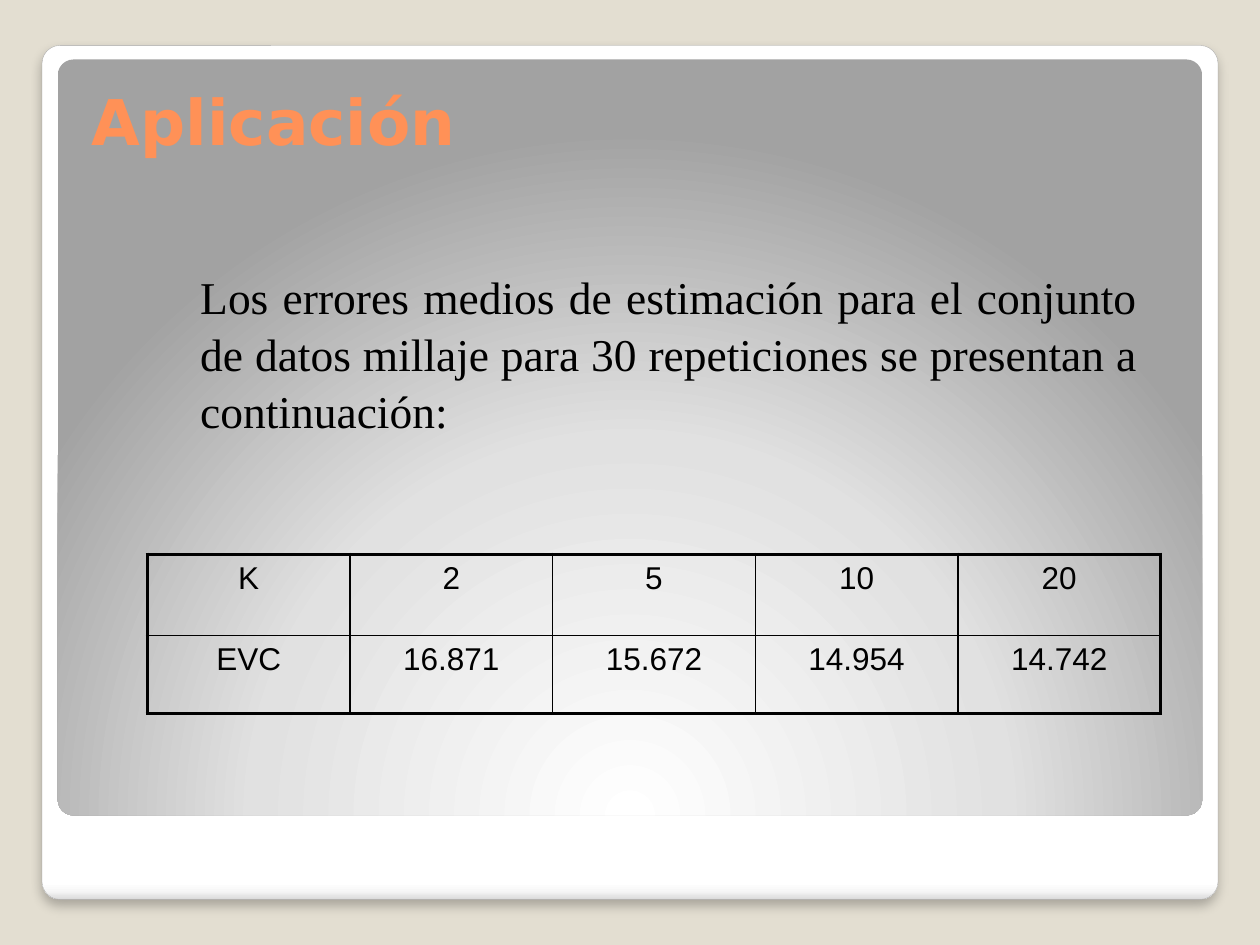
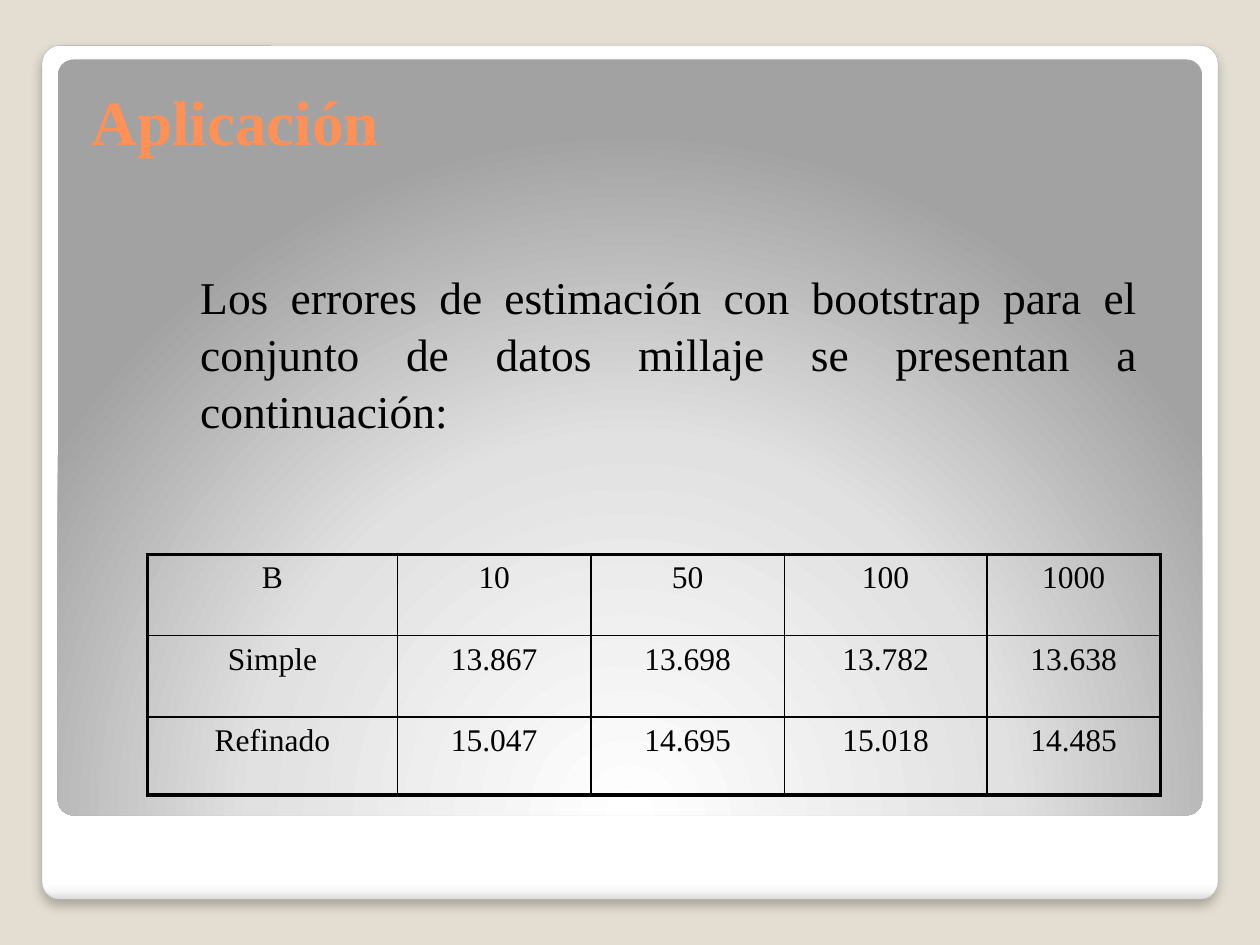
from pptx import Presentation
from pptx.dml.color import RGBColor
from pptx.enum.shapes import MSO_SHAPE as Shape
from pptx.enum.text import MSO_ANCHOR as Anchor, MSO_AUTO_SIZE as AutoSize, PP_ALIGN as Align
from pptx.oxml import parse_xml
from pptx.oxml.ns import nsdecls, qn
from pptx.util import Pt

SAND = RGBColor(0xE3, 0xDE, 0xD1)
ORANGE = RGBColor(0xFF, 0x91, 0x57)
BLACK = RGBColor(0x00, 0x00, 0x00)
WHITE = RGBColor(0xFF, 0xFF, 0xFF)
EDGE_GRAY = RGBColor(0xA4, 0xA4, 0xA4)
CARD_STOPS = [(0, WHITE), (98, WHITE), (99, RGBColor(0xF7, 0xF7, 0xF7)),
              (100, RGBColor(0xDA, 0xDA, 0xDA))]
PANEL_STOPS = [(0, WHITE), (55, RGBColor(0xE1, 0xE1, 0xE1)),
               (100, RGBColor(0xA2, 0xA2, 0xA2))]
DOWNWARD = '<a:lin ang="5400000" scaled="0"/>'
FROM_BOTTOM = ('<a:path path="circle"><a:fillToRect l="50000" t="175000" '
               'r="50000" b="-75000"/></a:path>')

SERIF, SANS, DISPLAY = "Times New Roman", "Arial", "DejaVu Sans"
THIN, THICK = 1, 2.25
ROW_HEIGHT, LAST_ROW_HEIGHT = 46.5, 44.5
TITLE_FRAME = {"margin_left": 0, "margin_right": 0, "margin_top": 0, "margin_bottom": 0,
               "vertical_anchor": Anchor.BOTTOM}
BODY_FRAME = {"margin_left": Pt(14.4), "margin_right": Pt(7.2), "margin_top": Pt(7.2),
              "margin_bottom": Pt(3.6), "vertical_anchor": Anchor.TOP}
BODY_PARA = {"alignment": Align.JUSTIFY, "space_before": Pt(2.5), "line_spacing": 1.04}


def apply(target, values):
    for name, value in values.items():
        setattr(target, name, value)


class Deck:
    def __init__(self):
        self.deck = Presentation()
        apply(self.deck, {"slide_width": Pt(720), "slide_height": Pt(540)})
        self.master = self.deck.slide_master
        background = self.master.background.fill
        background.solid()
        background.fore_color.rgb = SAND
        self.page = None

    def add_page(self):
        self.page = self.deck.slides.add_slide(self.deck.slide_layouts[1])

    def master_panel(self, order, bounds, stops, direction):
        """Draw a rounded gradient panel and move it behind everything, onto the master."""
        panel = self.page.shapes.add_shape(Shape.ROUNDED_RECTANGLE, *map(Pt, bounds))
        panel.adjustments[0] = 0.021
        panel.fill.background()
        panel.line.fill.background()
        panel.shadow.inherit = False
        steps = "".join(f'<a:gs pos="{at * 1000}"><a:srgbClr val="{color}"/></a:gs>'
                        for at, color in stops)
        properties = panel.element.spPr
        properties.replace(properties.find(qn("a:noFill")), parse_xml(
            f'<a:gradFill {nsdecls("a")} rotWithShape="1"><a:gsLst>{steps}</a:gsLst>'
            f'{direction}</a:gradFill>'))
        panel.element.nvSpPr.cNvPr.set("id", str(100 + order))
        self.master.shapes.element.insert(2 + order, panel.element)
        return panel

    def edge_and_shadow(self, panel):
        panel.line.color.rgb = EDGE_GRAY
        panel.line.width = Pt(0.16)
        panel.element.spPr.find(qn("a:effectLst")).append(parse_xml(
            f'<a:outerShdw {nsdecls("a")} blurRad="{Pt(6)}" dist="{Pt(4)}" dir="5400000" '
            f'rotWithShape="0"><a:srgbClr val="{BLACK}"><a:alpha val="25000"/></a:srgbClr>'
            f'</a:outerShdw>'))

    def fill_text(self, frame, text, para_format, font_format, color):
        para = frame.paragraphs[0]
        apply(para, para_format)
        span = para.add_run()
        span.text = text
        apply(span.font, font_format)
        span.font.color.rgb = color
        return para

    def place(self, box, bounds, frame_format):
        apply(box, dict(zip(("left", "top", "width", "height"), map(Pt, bounds))))
        apply(box.text_frame, {"word_wrap": True, "auto_size": AutoSize.NONE, **frame_format})

    def title(self, text, font):
        box = self.page.shapes.title
        self.place(box, (52.5, 46, 615, 44.5), TITLE_FRAME)
        self.fill_text(box.text_frame, text, {"alignment": Align.LEFT},
                       {"name": font, "size": Pt(36), "bold": True}, ORANGE)

    def body(self, text):
        box = self.page.placeholders[1]
        self.place(box, (100, 145.5, 557.5, 176.5), BODY_FRAME)
        para = self.fill_text(box.text_frame, text, BODY_PARA,
                              {"name": SERIF, "size": Pt(26)}, BLACK)
        properties = para._p.get_or_add_pPr()
        properties.set("marL", "0")
        properties.set("indent", "0")
        properties.append(parse_xml(f'<a:buNone {nsdecls("a")}/>'))

    def borders(self, cell, widths):
        properties = cell._tc.get_or_add_tcPr()
        for side, width in widths.items():
            properties.append(parse_xml(
                f'<a:ln{side} {nsdecls("a")} w="{Pt(width)}"><a:solidFill>'
                f'<a:srgbClr val="{BLACK}"/></a:solidFill></a:ln{side}>'))

    def table(self, rows, column_widths, font):
        heights = [ROW_HEIGHT] * (len(rows) - 1) + [LAST_ROW_HEIGHT]
        last_row, last_column = len(rows) - 1, len(column_widths) - 1
        grid = self.page.shapes.add_table(
            len(rows), len(column_widths), Pt(84.2), Pt(316.8),
            Pt(sum(column_widths)), Pt(sum(heights))).table
        apply(grid, {"first_row": False, "horz_banding": False})
        for column, width in zip(grid.columns, column_widths):
            column.width = Pt(width)
        for r, (row, height) in enumerate(zip(rows, heights)):
            grid.rows[r].height = Pt(height)
            for c, text in enumerate(row):
                cell = grid.cell(r, c)
                self.fill_text(cell.text_frame, text, {"alignment": Align.CENTER},
                               {"name": font, "size": Pt(18)}, BLACK)
                outer = {"L": c == 0, "R": c == last_column, "T": r == 0, "B": r == last_row}
                self.borders(cell, {side: THICK if edge else THIN
                                    for side, edge in outer.items()})
                cell.fill.background()


def main():
    deck = Deck()
    deck.add_page()
    card = deck.master_panel(0, (24, 26, 672, 488), CARD_STOPS, DOWNWARD)
    deck.edge_and_shadow(card)
    deck.master_panel(1, (33, 34, 654, 432), PANEL_STOPS, FROM_BOTTOM)

    deck.title("Aplicación", DISPLAY)
    deck.body("Los errores medios de estimación para el conjunto de datos millaje "
              "para 30 repeticiones se presentan a continuación:")
    deck.table([("K", "2", "5", "10", "20"),
                ("EVC", "16.871", "15.672", "14.954", "14.742")], [115.8] * 5, SANS)

    deck.add_page()
    deck.title("Aplicación", SERIF)
    deck.body("Los errores de estimación con bootstrap para el conjunto de datos millaje "
              "se presentan a continuación:")
    deck.table([("B", "10", "50", "100", "1000"),
                ("Simple", "13.867", "13.698", "13.782", "13.638"),
                ("Refinado", "15.047", "14.695", "15.018", "14.485")],
               [143, 110.5, 110.5, 115.8, 99.2], SERIF)
    deck.deck.save("out.pptx")


if __name__ == "__main__":
    main()
